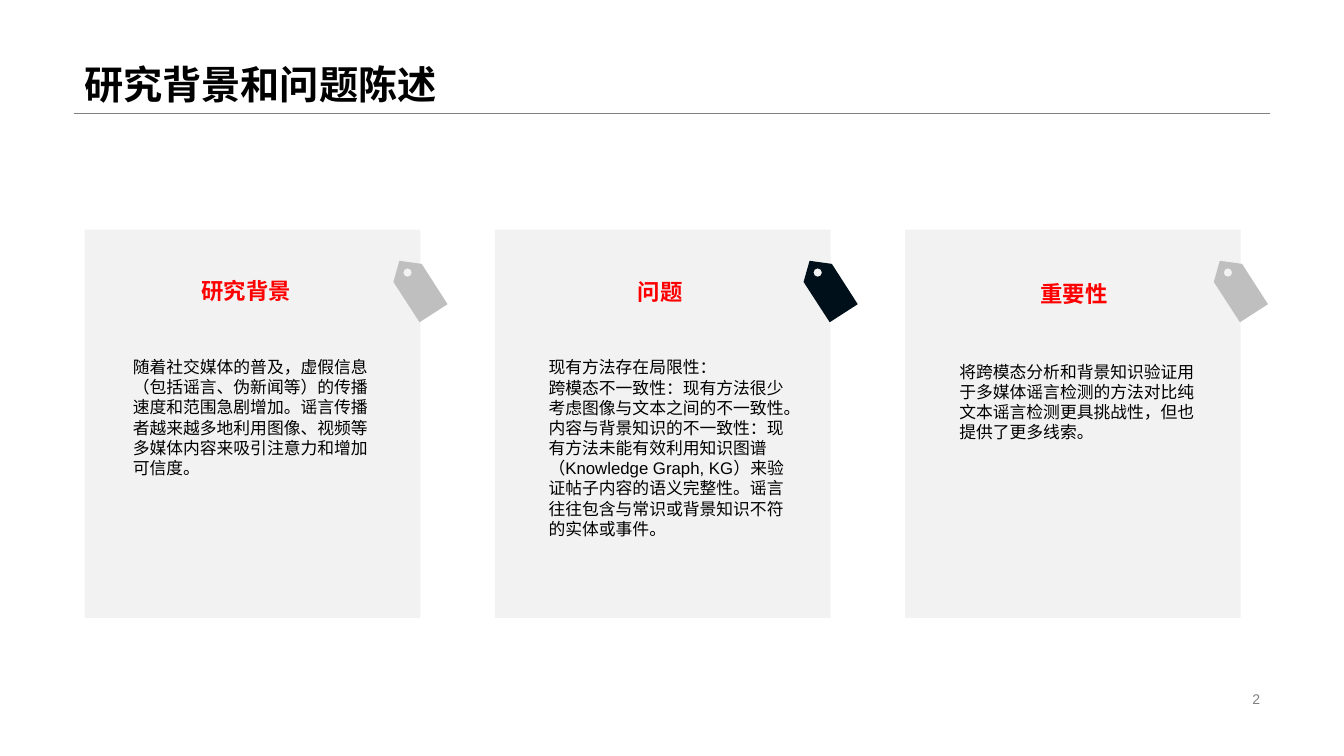
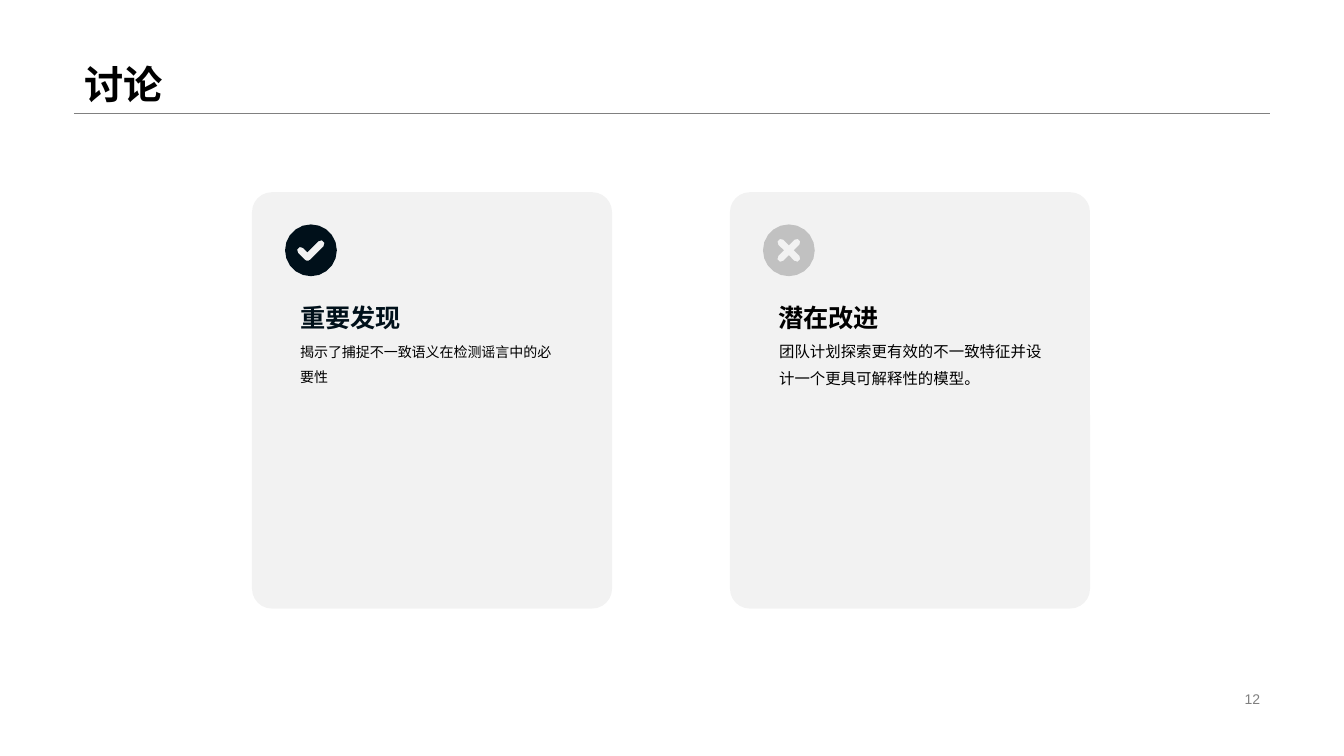
from dataclasses import dataclass
from math import cos, radians, sin, sqrt

from lxml import etree
from pptx import Presentation
from pptx.dml.color import RGBColor
from pptx.enum.lang import MSO_LANGUAGE_ID
from pptx.enum.shapes import MSO_CONNECTOR, MSO_SHAPE
from pptx.enum.text import MSO_ANCHOR, PP_ALIGN
from pptx.oxml.ns import qn
from pptx.util import Pt

CHINESE = MSO_LANGUAGE_ID.SIMPLIFIED_CHINESE
LINE = MSO_CONNECTOR.STRAIGHT
RECT, ROUND = MSO_SHAPE.RECTANGLE, MSO_SHAPE.ROUNDED_RECTANGLE
TOP, MIDDLE, BOTTOM = MSO_ANCHOR.TOP, MSO_ANCHOR.MIDDLE, MSO_ANCHOR.BOTTOM
LEFT, RIGHT = PP_ALIGN.LEFT, PP_ALIGN.RIGHT


@dataclass(frozen=True)
class Theme:
    font: str = "Arial"
    black: str = "000000"
    navy: str = "00101A"
    gray: str = "808080"
    silver: str = "BFBFBF"
    red: str = "FF0000"
    title: float = 28
    label: float = 18
    head: float = 16
    body: float = 12
    note: float = 11
    small: float = 10


T = Theme()

# Each column: tag colour, heading, heading box, body box, paragraphs
COLUMNS = [
    (T.silver, "研究背景", (136.8, 194.6, 88, 26.6), (87.8, 251.3, 184.3, 94.3),
     ["随着社交媒体的普及，虚假信息（包括谣言、伪新闻等）的传播速度和范围急剧增加。"
      "谣言传播者越来越多地利用图像、视频等多媒体内容来吸引注意力和增加可信度。"]),
    (T.navy, "问题", (448.6, 194.8, 63.4, 26.6), (384.8, 251.6, 184.3, 138.2),
     ["现有方法存在局限性：",
      "跨模态不一致性：现有方法很少考虑图像与文本之间的不一致性。",
      "内容与背景知识的不一致性：现有方法未能有效利用知识图谱"
      "（Knowledge Graph, KG）来验证帖子内容的语义完整性。"
      "谣言往往包含与常识或背景知识不符的实体或事件。"]),
    (T.silver, "重要性", (736.2, 196.2, 184.3, 26.6), (678.2, 254.6, 184.3, 65.5),
     ["将跨模态分析和背景知识验证用于多媒体谣言检测的方法"
      "对比纯文本谣言检测更具挑战性，但也提供了更多线索。"]),
]


# Basic elements
def paint(shape, color, alpha=100):
    shape.shadow.inherit = False
    shape.line.fill.background()
    shape.fill.solid()
    shape.fill.fore_color.rgb = RGBColor.from_string(color)
    if alpha < 100:
        tone = shape._element.spPr.find(qn("a:solidFill"))[0]
        etree.SubElement(tone, qn("a:alpha")).set("val", str(alpha * 1000))


def text(slide, box, paras, size, color=T.black, bold=False,
         anchor=TOP, align=LEFT, space=1.0):
    frame = slide.shapes.add_textbox(*map(Pt, box)).text_frame
    frame.word_wrap = True
    frame.vertical_anchor = anchor
    for i, words in enumerate(paras):
        para = frame.add_paragraph() if i else frame.paragraphs[0]
        para.alignment = align
        para.line_spacing = space
        run = para.add_run()
        run.text = words
        font = run.font
        font.name, font.size, font.bold = T.font, Pt(size), bold
        font.color.rgb = RGBColor.from_string(color)
        font.language_id = CHINESE


def card(slide, kind, box, color, alpha):
    shape = slide.shapes.add_shape(kind, *map(Pt, box))
    if kind == ROUND:
        shape.adjustments[0] = 0.055
    paint(shape, color, alpha)


# Outlines: the first ring is the body, the next one a hole in it
def arc(x, y, r, start, end, steps=3):
    turns = [radians(start + (end - start) * i / steps)
             for i in range(steps + 1)]
    return [(x + r * cos(a), y + r * sin(a)) for a in turns]


def disc(x, y, r, sides):
    return arc(x, y, r, 0, 360, sides)[:-1]


def cutout(slide, x, y, rings, color, alpha=100):
    rings = [[(Pt(x + dx), Pt(y + dy)) for dx, dy in ring] for ring in rings]
    pen = slide.shapes.build_freeform(*rings[0][0])
    for i, ring in enumerate(rings):
        if i:
            pen.move_to(*ring[0])
        pen.add_line_segments(ring[1:], close=True)
    paint(pen.convert_to_shape(), color, alpha)


def tick():
    r, x, y = 2.55, -2.5, 5
    return (arc(x - 4.9, y - 4.9, r, 315, 135) + arc(x, y, r, 135, 45)
            + arc(x + 9.7, y - 9.7, r, 45, -135) + [(x, y - r * sqrt(2))])


def cross():
    r, reach, ring = 2.55, 5.7, []
    for turn in (315, 225, 135, 45):
        a, b = radians(turn), radians(turn - 45)
        far, near = reach * sqrt(2), r * sqrt(2)
        ring += arc(far * cos(a), far * sin(a), r, turn + 90, turn - 90)
        ring.append((near * cos(b), near * sin(b)))
    return ring


def tag(slide, x, y, color):
    edge = [(224.8, 22.2), (240.7, 24.4), (259.2, 53.2),
            (239.2, 66.1), (220.5, 37.3)]
    cutout(slide, x, y, [edge, disc(230.6, 30.6, 3, 8)], color)


def badge(slide, x, y, mark, color, alpha):
    cutout(slide, x, y, [disc(0, 0, 18.5, 20), mark], color, alpha)


# Shared frame: rule, title, page number
def page(deck, title, number):
    slide = deck.slides.add_slide(deck.slide_layouts[6])
    rule = slide.shapes.add_connector(LINE, Pt(52.8), Pt(81), Pt(907.2), Pt(81))
    rule.line.width = Pt(0.25)
    rule.line.color.rgb = RGBColor.from_string(T.gray)
    etree.SubElement(rule._element.spPr, qn("a:effectLst"))
    text(slide, (53.1, 0, 854.4, 81), [title], T.title, bold=True,
         anchor=BOTTOM, space=0.9)
    text(slide, (678.2, 491, 229, 16.6), [number], T.small, T.gray,
         anchor=MIDDLE, align=RIGHT)
    return slide


# Slides
def context(deck):
    slide = page(deck, "研究背景和问题陈述", "2")
    top = 164.1
    for i, (color, head, spot, box, paras) in enumerate(COLUMNS):
        x = 60.5 + 293 * i
        card(slide, RECT, (x, top, 239.8, 277.2), T.gray, 10)
        tag(slide, x, top, color)
        text(slide, box, paras, T.body)
        text(slide, spot, [head], T.head, T.red, True, MIDDLE)


def review(deck):
    slide = page(deck, "讨论", "12")
    items = [
        ("重要发现", T.navy, "揭示了捕捉不一致语义在检测谣言中的必要性",
         T.small, (207.3, 235.8, 203, 41), tick(), T.navy, 100),
        ("潜在改进", T.black, "团队计划探索更有效的不一致特征并设计一个更具可解释性的模型。",
         T.note, (549.4, 234, 203, 44.6), cross(), T.black, 20),
    ]
    for i, (head, tone, words, size, box, mark, color, alpha) in enumerate(items):
        x = 180 + 341.4 * i
        card(slide, ROUND, (x, 137.3, 257.2, 297.4), T.black, 5)
        text(slide, box, [words], size, space=1.5)
        text(slide, (x + 27.3, 212.4, 203, 28.8), [head], T.label, tone, True)
        badge(slide, x + 42.1, 178.8, mark, color, alpha)


def main():
    deck = Presentation()
    deck.slide_width, deck.slide_height = Pt(960), Pt(540)
    context(deck)
    review(deck)
    deck.save("out.pptx")


if __name__ == "__main__":
    main()
